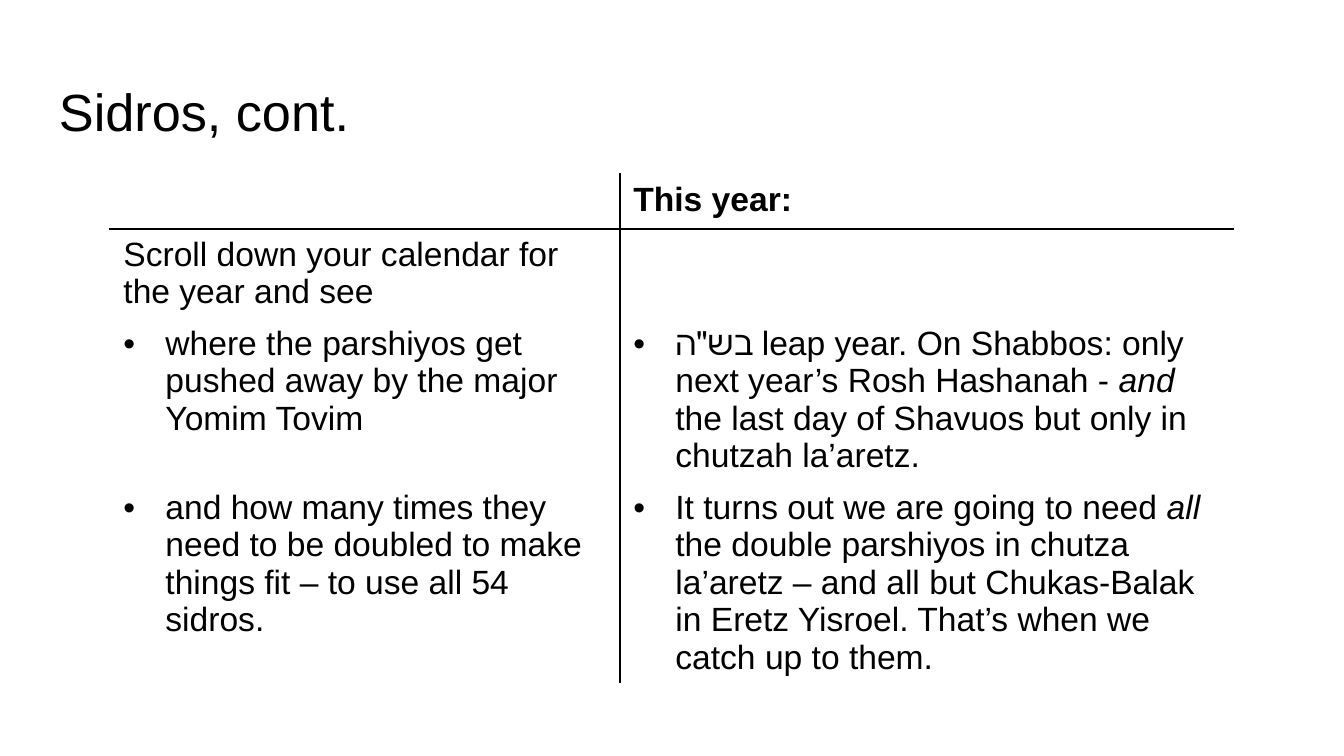
"""Builds the slide on how the sidros fall this year."""
from lxml import etree
from pptx import Presentation
from pptx.dml.color import RGBColor
from pptx.enum.text import MSO_ANCHOR, MSO_AUTO_SIZE, PP_ALIGN
from pptx.oxml.ns import qn
from pptx.util import Emu, Pt

TOP = MSO_ANCHOR.TOP
LEFT = PP_ALIGN.LEFT
FIXED = MSO_AUTO_SIZE.NONE
BLACK = RGBColor(0, 0, 0)
WHITE = RGBColor(255, 255, 255)
SLIDE_WIDTH, SLIDE_HEIGHT = 1344, 756
TITLE_ONLY = 5

COLUMN_WIDTHS = [510, 613]
ROW_HEIGHTS = [55, 89, 164, 201]
FIRST_BULLET_ROW = 2
ROWS = [
    [[], ["This year:"]],
    [["Scroll down your calendar for the year and see"], []],
    [
        ["where the parshiyos get pushed away by the major Yomim Tovim"],
        [
            "בש\"ה leap year. On Shabbos: only next year’s Rosh Hashanah - ",
            "and ",
            "the last day of Shavuos but only in chutzah la’aretz.",
        ],
    ],
    [
        ["and how many times they need to be doubled to make things fit – to use all 54 sidros."],
        [
            "It turns out we are going to need ",
            "all",
            " the double parshiyos in chutza la’aretz – and all but Chukas-Balak"
            " in Eretz Yisroel. That’s when we catch up to them.",
        ],
    ],
]


def px(length):
    return Emu(round(length * 9144000 / SLIDE_WIDTH))


class SlideBuilder:
    """Holds the text style and the current slide."""

    font = "Arial"
    title_size = 28
    body_size = 18
    inset = 13
    indent = 42

    def __init__(self, page):
        self.page = page

    def add_span(self, para, text, size, bold=False, italic=False):
        span = para.add_run()
        span.text = text
        span.font.name = self.font
        span.font.size = Pt(size)
        span.font.bold = bold
        span.font.italic = italic
        span.font.color.rgb = BLACK

    def title(self, text, left, top, width, height):
        box = self.page.shapes.title
        box.left, box.top, box.width, box.height = map(px, (left, top, width, height))
        frame = box.text_frame
        frame.auto_size = FIXED
        frame.vertical_anchor = TOP
        frame.margin_left = frame.margin_right = px(self.inset)
        frame.margin_top = frame.margin_bottom = px(self.inset)
        para = frame.paragraphs[0]
        para.alignment = LEFT
        self.add_span(para, text, self.title_size)

    def bullet(self, para):
        properties = para._p.get_or_add_pPr()
        properties.set("marL", str(px(self.indent)))
        properties.set("indent", str(-px(self.indent)))
        color = etree.SubElement(properties, qn("a:buClr"))
        etree.SubElement(color, qn("a:srgbClr"), val=str(BLACK))
        etree.SubElement(properties, qn("a:buFont"), typeface=self.font)
        etree.SubElement(properties, qn("a:buChar"), char="•")

    def borders(self, cell, colors):
        properties = cell._tc.get_or_add_tcPr()
        for side, color in colors.items():
            line = etree.SubElement(properties, qn(f"a:ln{side}"), w=str(Pt(1)))
            if color is None:
                etree.SubElement(line, qn("a:noFill"))
            else:
                fill = etree.SubElement(line, qn("a:solidFill"))
                etree.SubElement(fill, qn("a:srgbClr"), val=str(color))

    def cell(self, cell, row, column, spans):
        self.borders(cell, {
            "L": BLACK if column else WHITE,
            "R": WHITE if column else BLACK,
            "T": {0: WHITE, 1: BLACK}.get(row),
            "B": BLACK if row == 0 else None,
        })
        cell.fill.background()
        para = cell.text_frame.paragraphs[0]
        if row >= FIRST_BULLET_ROW:
            self.bullet(para)
        para.font.size = Pt(self.body_size)
        for index, text in enumerate(spans):
            self.add_span(para, text, self.body_size, bold=row == 0, italic=index == 1)

    def table(self, rows, left, top):
        frame = self.page.shapes.add_table(
            len(rows), len(COLUMN_WIDTHS), px(left), px(top),
            px(sum(COLUMN_WIDTHS)), px(sum(ROW_HEIGHTS)))
        table = frame.table
        table.first_row = table.horz_banding = False
        for column, width in zip(table.columns, COLUMN_WIDTHS):
            column.width = px(width)
        for row, height in zip(table.rows, ROW_HEIGHTS):
            row.height = px(height)
        for row, cells in enumerate(rows):
            for column, spans in enumerate(cells):
                self.cell(table.cell(row, column), row, column, spans)


def main():
    deck = Presentation()
    deck.slide_width, deck.slide_height = px(SLIDE_WIDTH), px(SLIDE_HEIGHT)
    page = deck.slides.add_slide(deck.slide_layouts[TITLE_ONLY])
    builder = SlideBuilder(page)
    builder.title("Sidros, cont.", 46, 66, 1252, 85)
    builder.table(ROWS, 110, 174)
    deck.save("out.pptx")


if __name__ == "__main__":
    main()
